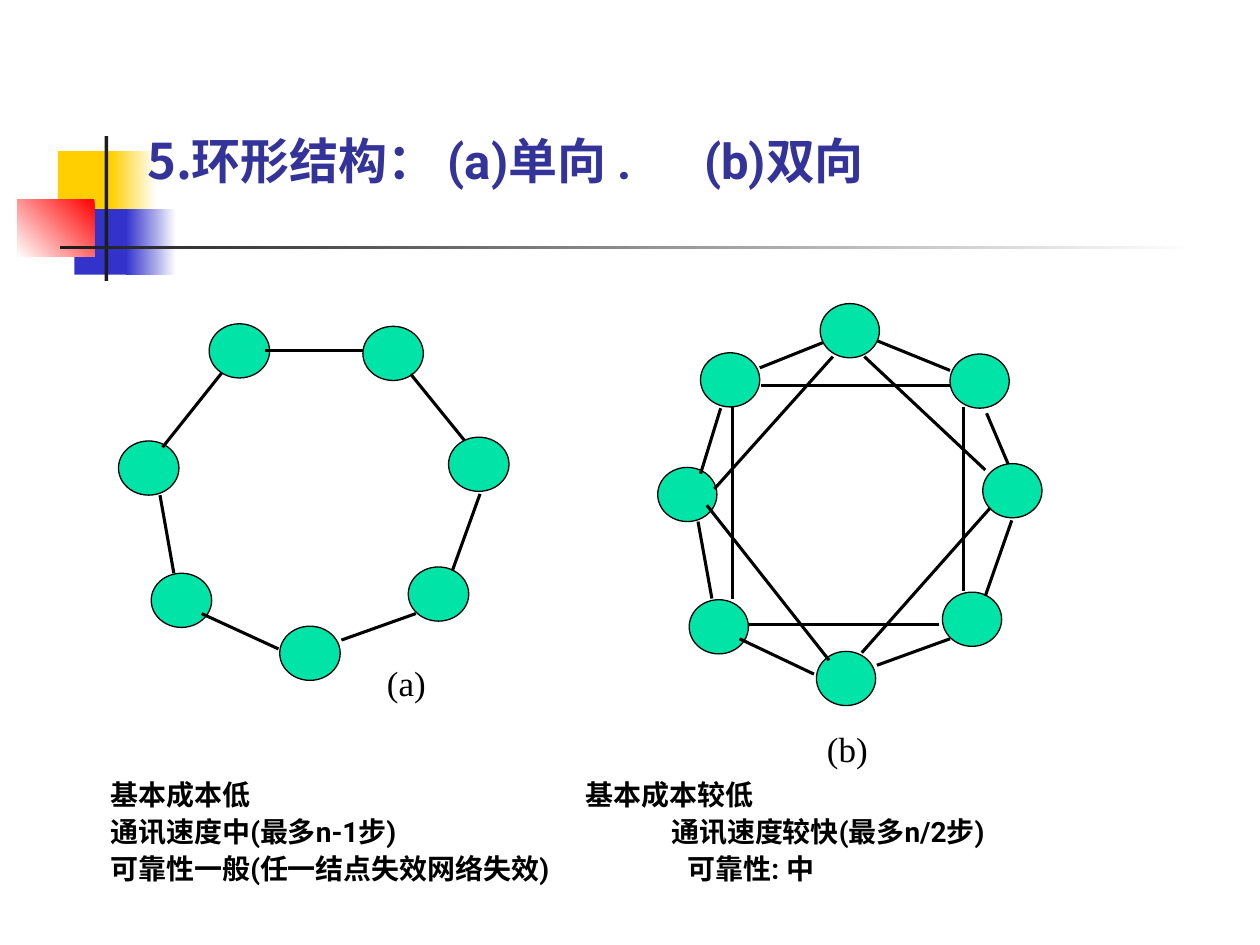
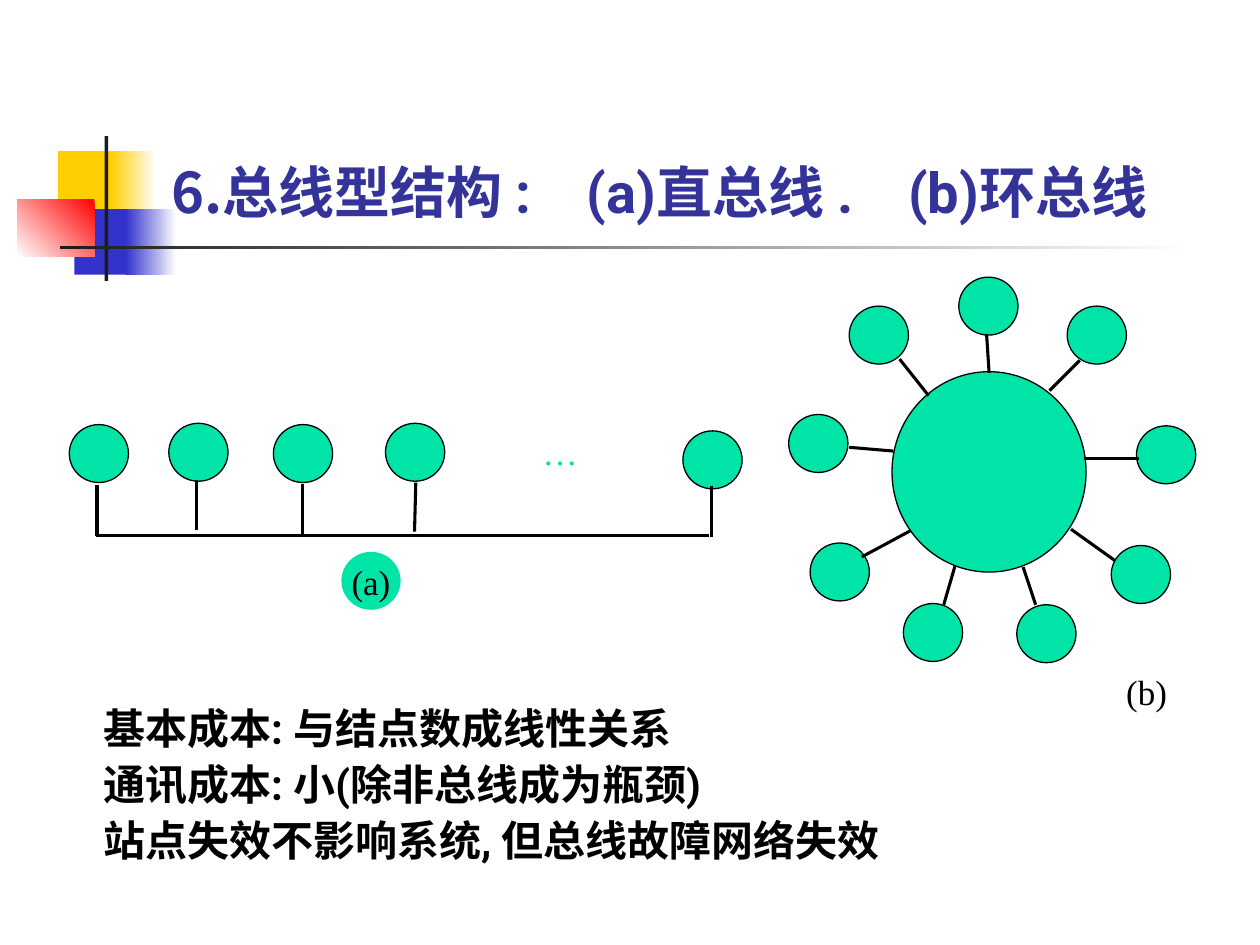
from dataclasses import dataclass

from lxml.etree import SubElement
from pptx import Presentation
from pptx.dml.color import RGBColor as Rgb
from pptx.enum.shapes import MSO_CONNECTOR as Connector, MSO_SHAPE as Preset
from pptx.enum.text import MSO_ANCHOR as Anchor, PP_ALIGN as Align
from pptx.oxml.ns import qn
from pptx.util import Pt

PX = 9144  # 100 px to the inch
ROBOTO, CJK, TIMES = "Roboto", "Noto Sans CJK SC", "Times New Roman"
COLORS = {
    "white": "FFFFFF", "black": "000000", "title": "333399", "node": "00E4A8",
    "yellow": "FFCF01", "blue": "3333CC", "red": "FF0000", "dark": "1C1C1C",
}


@dataclass(frozen=True)
class Box:
    left: int
    top: int
    width: int
    height: int

    def emu(self) -> list[int]:
        return [value * PX for value in (self.left, self.top, self.width, self.height)]


@dataclass(frozen=True)
class Band:
    box: Box
    colors: tuple[str, ...]  # one colour is solid, two make a gradient
    angle: int = 180


@dataclass(frozen=True)
class Network:
    """Nodes behind the links, the links, and nodes in front of them."""
    node_size: tuple[int, int]
    back: list[tuple[int, int]]
    links: list[tuple[int, int, int, int]]
    front: tuple[tuple[int, int], ...] = ()


BANDS = [
    Band(Box(46, 120, 48, 52), ("yellow",)),
    Band(Box(88, 120, 36, 52), ("white", "yellow")),
    Band(Box(59, 166, 46, 52), ("blue",)),
    Band(Box(100, 166, 40, 52), ("white", "blue")),
    Band(Box(14, 158, 61, 46), ("red", "white"), 225),
    Band(Box(83, 108, 3, 115), ("dark",)),
    Band(Box(48, 195, 900, 3), ("white", "dark")),
]

ONE_WAY_RING = Network(
    (48, 43),
    [(94, 350), (120, 455), (324, 450), (288, 259), (166, 257)],
    [(288, 278, 210, 278), (330, 487, 271, 508), (369, 350, 326, 297),
     (176, 296, 129, 355), (138, 455, 127, 393), (381, 392, 359, 453),
     (221, 515, 160, 487)],
    ((356, 347), (222, 497)),
)
TWO_WAY_RING = Network(
    (47, 43),
    [(522, 371), (547, 476), (748, 470), (754, 281), (556, 280),
     (780, 368), (648, 517)],
    [(754, 294, 695, 270), (754, 507, 696, 528), (800, 368, 783, 328),
     (572, 324, 556, 376), (565, 475, 554, 414), (803, 413, 782, 473),
     (646, 535, 587, 507), (603, 292, 653, 272),
     # links that skip one node
     (745, 496, 594, 496), (658, 524, 561, 401), (786, 403, 684, 518),
     (661, 283, 567, 388), (686, 283, 782, 373), (765, 323, 765, 469),
     (581, 322, 581, 475), (754, 306, 604, 306)],
    ((651, 241),),
)
STRAIGHT_BUS = Network(
    (47, 46),
    [(306, 336), (134, 336), (55, 337), (217, 337), (542, 342)],
    [(563, 425, 76, 425), (77, 425, 77, 385), (156, 421, 156, 381),
     (240, 424, 240, 384), (329, 422, 330, 383), (565, 426, 565, 386)],
)
RING_BUS = Network(
    (47, 46),
    [(674, 243), (761, 220), (847, 243), (626, 329), (643, 431),
     (717, 479), (807, 480), (882, 433), (902, 338)],
    [(714, 285, 737, 314), (783, 265, 785, 296), (857, 286, 833, 310),
     (674, 355, 709, 358), (684, 442, 723, 421), (860, 364, 904, 364),
     (850, 420, 885, 445), (812, 450, 822, 480), (758, 449, 749, 480)],
)
HUB = Box(708, 295, 154, 159)


def rgb(name: str) -> Rgb:
    return Rgb.from_string(COLORS[name])


def add_preset(slide, preset, box: Box, fill: str | None = None, outline: bool = False):
    shape = slide.shapes.add_shape(preset, *box.emu())
    shape.shadow.inherit = False
    if fill:
        shape.fill.solid()
        shape.fill.fore_color.rgb = rgb(fill)
    else:
        shape.fill.background()
    if outline:
        shape.line.color.rgb = rgb("black")
        shape.line.width = Pt(0.75)
    else:
        shape.line.fill.background()
    return shape


def add_band(slide, band: Band) -> None:
    shape = add_preset(slide, Preset.RECTANGLE, band.box, band.colors[0])
    if len(band.colors) > 1:
        shape.fill.gradient()
        shape.fill.gradient_angle = band.angle
        for stop, color in zip(shape.fill.gradient_stops, band.colors):
            stop.color.rgb = rgb(color)


def add_link(slide, ends: tuple[int, int, int, int]) -> None:
    link = slide.shapes.add_connector(Connector.STRAIGHT, *[end * PX for end in ends])
    link.line.color.rgb = rgb("black")
    link.line.width = Pt(1.75)
    SubElement(link._element.spPr, qn("a:effectLst"))


def add_node(slide, box: Box) -> None:
    add_preset(slide, Preset.OVAL, box, "node", outline=True)


def add_network(slide, network: Network) -> None:
    for corner in network.back:
        add_node(slide, Box(*corner, *network.node_size))
    for ends in network.links:
        add_link(slide, ends)
    for corner in network.front:
        add_node(slide, Box(*corner, *network.node_size))


def add_paragraph(frame, runs: list[tuple[str, str]], *, first: bool, size: int,
                  color: str = "black", bold: bool = True, align=Align.LEFT,
                  line: float = 0.9, before: int = 0, tabs: tuple[int, ...] = (),
                  east_asian: str = CJK) -> None:
    """Write one paragraph of (text, font) runs; tabs are in px."""
    paragraph = frame.paragraphs[0] if first else frame.add_paragraph()
    paragraph.alignment = align
    paragraph.line_spacing = line
    paragraph.space_before = Pt(0 if first else before)
    if tabs:
        tab_list = SubElement(paragraph._p.get_or_add_pPr(), qn("a:tabLst"))
        for position in tabs:
            SubElement(tab_list, qn("a:tab"), pos=str(position * PX), algn="l")
    for text, font_name in runs:
        run = paragraph.add_run()
        run.text = text
        run.font.name = font_name
        run.font.size = Pt(size)
        run.font.bold = bold
        run.font.color.rgb = rgb(color)
        SubElement(run._r.get_or_add_rPr(), qn("a:ea"), typeface=east_asian)


def add_text_frame(slide, box: Box, anchor=Anchor.TOP):
    frame = slide.shapes.add_textbox(*box.emu()).text_frame
    frame.word_wrap = True
    frame.vertical_anchor = anchor
    return frame


def add_label(slide, box: Box, text: str, color: str = "black",
              fill: str | None = None) -> None:
    frame = add_preset(slide, Preset.OVAL, box, fill).text_frame
    frame.margin_left = frame.margin_right = frame.margin_top = frame.margin_bottom = 0
    frame.word_wrap = False
    frame.vertical_anchor = Anchor.TOP
    add_paragraph(frame, [(text, TIMES)], first=True, size=20, color=color, bold=False,
                  align=Align.CENTER, line=1.0, east_asian=TIMES)


def add_title(slide, box: Box, runs: list[tuple[str, str]], *, size: int, line: float,
              tabs: tuple[int, ...], anchor=Anchor.TOP) -> None:
    frame = add_text_frame(slide, box, anchor)
    add_paragraph(frame, runs, first=True, size=size, color="title", line=line, tabs=tabs)


def add_notes(slide, box: Box, lines: list[tuple[str, tuple[int, ...]]], *,
              size: int, before: int) -> None:
    frame = add_text_frame(slide, box)
    for index, (text, tabs) in enumerate(lines):
        add_paragraph(frame, [(text, ROBOTO)], first=index == 0, size=size,
                      before=before, tabs=tabs)


def new_slide(presentation):
    slide = presentation.slides.add_slide(presentation.slide_layouts[6])
    for band in BANDS:
        add_band(slide, band)
    return slide


def build_ring_slide(presentation) -> None:
    slide = new_slide(presentation)
    add_title(slide, Box(107, 104, 734, 59),
              [("5.环形结构", CJK), ("： (a)", ROBOTO), ("单向 ", CJK),
               (".\t(b)", ROBOTO), ("双向", CJK)],
              size=28, line=0.9, tabs=(442,))
    add_network(slide, ONE_WAY_RING)
    add_network(slide, TWO_WAY_RING)
    add_label(slide, Box(283, 516, 79, 59), "(a)")
    add_label(slide, Box(633, 569, 79, 59), "(b)")
    # Each line compares the one-way ring with the two-way ring
    add_notes(slide, Box(78, 615, 867, 100),
              [("基本成本低\t基本成本较低", (377,)),
               ("通讯速度中(最多n-1步)\t通讯速度较快(最多n/2步)", (445,)),
               ("可靠性一般(任一结点失效网络失效)\t可靠性: 中", (458,))],
              size=16, before=4)


def build_bus_slide(presentation) -> None:
    slide = new_slide(presentation)
    add_notes(slide, Box(72, 557, 850, 162),
              [("基本成本: 与结点数成线性关系", ()),
               ("通讯成本: 小(除非总线成为瓶颈)", ()),
               ("站点失效不影响系统, 但总线故障网络失效", ())],
              size=24, before=6)
    # Straight bus
    add_network(slide, STRAIGHT_BUS)
    add_label(slide, Box(389, 335, 111, 46), "…", color="node", fill="white")
    add_label(slide, Box(271, 438, 47, 46), "(a)", fill="node")
    # Ring bus
    add_node(slide, HUB)
    add_network(slide, RING_BUS)
    add_label(slide, Box(882, 524, 56, 53), "(b)")
    add_title(slide, Box(126, 23, 852, 160),
              [("6.总线型结构 ", CJK), (":\t(a)", ROBOTO), ("直总线 ", CJK),
               (".\t(b)", ROBOTO), ("环总线", CJK)],
              size=32, line=1.0, tabs=(330, 585), anchor=Anchor.BOTTOM)


def main() -> None:
    presentation = Presentation()
    presentation.slide_width = 1000 * PX
    presentation.slide_height = 750 * PX
    build_ring_slide(presentation)
    build_bus_slide(presentation)
    presentation.save("out.pptx")


if __name__ == "__main__":
    main()
